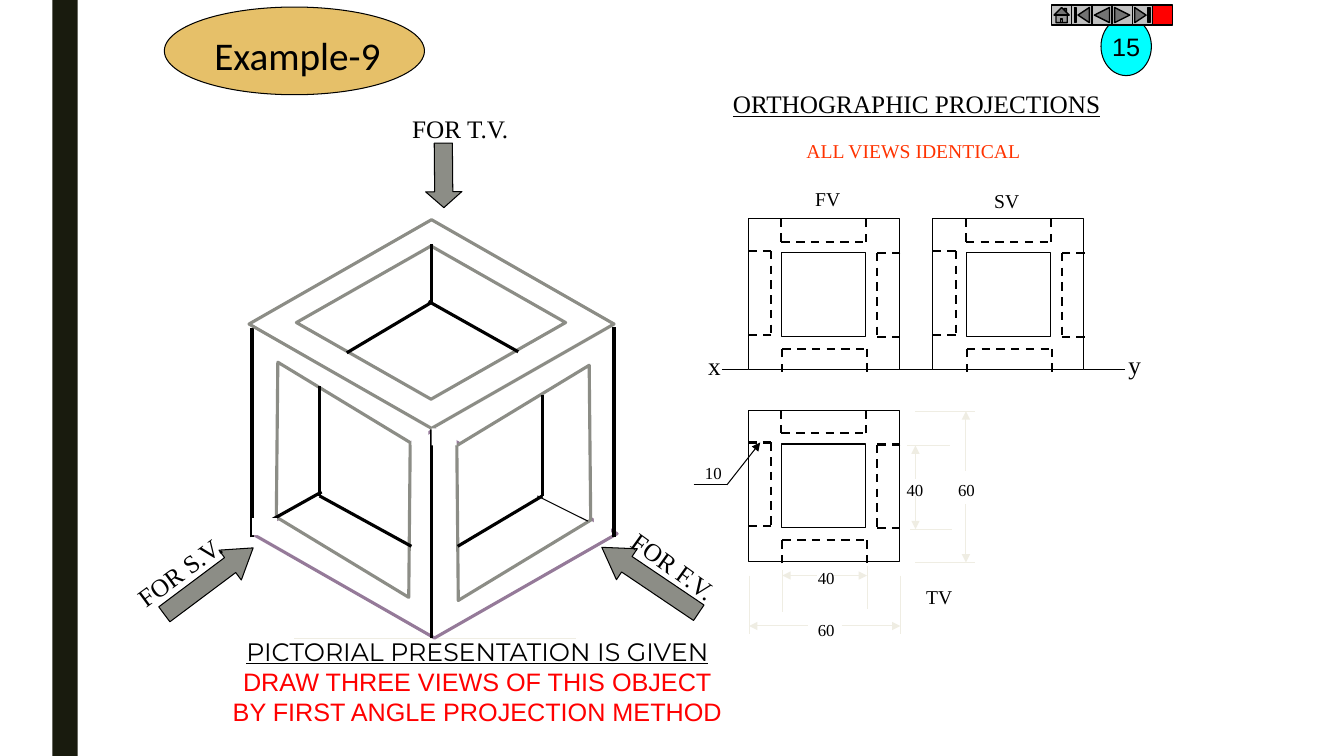
from itertools import pairwise

from lxml.etree import SubElement
from pptx import Presentation
from pptx.dml.color import RGBColor
from pptx.enum.dml import MSO_LINE
from pptx.enum.shapes import MSO_CONNECTOR, MSO_SHAPE
from pptx.enum.text import MSO_ANCHOR, MSO_AUTO_SIZE, PP_ALIGN
from pptx.oxml.ns import qn
from pptx.util import Cm, Pt

BLACK = RGBColor(0x00, 0x00, 0x00)
WHITE = RGBColor(0xFF, 0xFF, 0xFF)
RED = RGBColor(0xFF, 0x00, 0x00)
ORANGE = RGBColor(0xFF, 0x33, 0x00)
GOLD = RGBColor(0xE6, 0xC0, 0x69)
CYAN = RGBColor(0x00, 0xFF, 0xFF)
GREY = RGBColor(0x8C, 0x8D, 0x86)
SILVER = RGBColor(0xC0, 0xC0, 0xC0)
PURPLE = RGBColor(0x95, 0x7A, 0x99)
CREAM = RGBColor(0xEF, 0xED, 0xE3)
DARK = RGBColor(0x19, 0x1B, 0x0E)

SERIF = "Times New Roman"
CM_PER_UNIT = 2.54
HOLE = 0.83
FRAME = 1.5
NOTCHES = [
    [(0.34, 1.52), (0.34, 1.29), (1.18, 1.29), (1.18, 1.52)],
    [(0.33, 0), (0.33, 0.23), (1.17, 0.23), (1.17, 0)],
    [(0, 0.32), (0.23, 0.32), (0.23, 1.15), (0, 1.15)],
    [(1.51, 0.34), (1.28, 0.34), (1.28, 1.17), (1.51, 1.17)],
]


def lengths(*units):
    return [Cm(unit * CM_PER_UNIT) for unit in units]


def add_figure(page, kind, place, fill, line=None, width=0.75, turn=0):
    figure = page.shapes.add_shape(kind, *lengths(*place))
    figure.shadow.inherit = False
    figure.rotation = turn
    figure.fill.solid()
    figure.fill.fore_color.rgb = fill
    if line is None:
        figure.line.fill.background()
    else:
        figure.line.color.rgb = line
        figure.line.width = Pt(width)
    return figure


def add_line(page, start, end, color=BLACK, width=0.75, dashed=False, arrow=False):
    connector = page.shapes.add_connector(MSO_CONNECTOR.STRAIGHT, *lengths(*start, *end))
    connector.line.color.rgb = color
    connector.line.width = Pt(width)
    if dashed:
        connector.line.dash_style = MSO_LINE.DASH
    properties = connector._element.spPr
    if arrow:
        SubElement(properties.find(qn("a:ln")), qn("a:tailEnd"), type="triangle")
    SubElement(properties, qn("a:effectLst"))


def style(para, text, size, font=SERIF, color=BLACK, underline=False, align=PP_ALIGN.CENTER):
    para.text = text
    para.alignment = align
    para.font.size = Pt(size)
    para.font.name = font
    para.font.color.rgb = color
    para.font.underline = underline


def add_text(page, place, text, size, turn=0, **look):
    box = page.shapes.add_textbox(*lengths(*place))
    box.rotation = turn
    frame = box.text_frame
    frame.word_wrap = False
    frame.auto_size = MSO_AUTO_SIZE.SHAPE_TO_FIT_TEXT
    style(frame.paragraphs[0], text, size, **look)
    return frame


def add_cube(page):
    for start, end in [
        ((4.3, 6.33), (5.5, 5.63)),
        ((4.3, 6.33), (3.17, 5.67)),
        ((2.92, 6.33), (5.71, 6.33)),
    ]:
        add_line(page, start, end, CREAM, 0.5)
    add_figure(page, MSO_SHAPE.DIAMOND, (2.5, 4.26, 3.62, 2.07), WHITE, PURPLE, 2.25)
    for x, top, bottom in [(4.28, 4.25, 6.33), (2.5, 3.25, 5.33), (6.09, 3.24, 5.33)]:
        add_line(page, (x, bottom), (x, top), width=2.25)
    for place, turn in [
        ((2.47, 2.18, 3.62, 2.07), 0),
        ((2.94, 2.44, 2.67, 1.52), 0),
        ((3.86, 4.03, 2.67, 1.52), 299.1),
        ((2.07, 4, 2.67, 1.52), 60.9),
    ]:
        add_figure(page, MSO_SHAPE.DIAMOND, place, WHITE, GREY, 2.25, turn)
    add_line(page, (5.83, 5.17), (5.33, 4.92))
    for start, end in [
        ((4.28, 2.42), (4.28, 3)),
        ((2.69, 5.16), (3.19, 4.88)),
        ((3.17, 4.92), (3.17, 3.83)),
        ((3.17, 4.92), (4.08, 5.42)),
        ((5.38, 4.92), (4.54, 5.42)),
        ((5.38, 4.92), (5.38, 3.92)),
        ((4.28, 3), (3.44, 3.5)),
        ((4.25, 2.99), (5.14, 3.49)),
    ]:
        add_line(page, start, end, width=2.25)
    for place in [
        (4.08, 4.25, 0.17, 0.17),
        (4.28, 4.25, 0.25, 0.17),
        (2.5, 5.14, 0.25, 0.17),
        (5.89, 5.06, 0.17, 0.25),
    ]:
        add_figure(page, MSO_SHAPE.RECTANGLE, place, WHITE)


def add_view(page, left, top, label, label_place):
    inset = (FRAME - HOLE) / 2
    add_figure(page, MSO_SHAPE.RECTANGLE, (left, top, FRAME, FRAME), WHITE, BLACK)
    add_figure(page, MSO_SHAPE.RECTANGLE, (left + inset, top + inset, HOLE, HOLE), WHITE, BLACK)
    for notch in NOTCHES:
        corners = [(left + x, top + y) for x, y in notch]
        for start, end in pairwise(corners):
            add_line(page, start, end, width=1.5, dashed=True)
    add_text(page, label_place, label, 14)


def add_dimensions(page):
    for y, left, right in [(4.08, 9.08, 9.67), (4.42, 9, 9.42), (5.25, 9.03, 9.44), (5.58, 9.08, 9.67)]:
        add_line(page, (left, y), (right, y), CREAM)
    for x, top, bottom in [(8.93, 5.71, 6.29), (8.6, 5.62, 6.04), (7.76, 5.65, 6.07), (7.43, 5.71, 6.29)]:
        add_line(page, (x, top), (x, bottom), CREAM)
    for start, end in [
        ((9.58, 4.67), (9.58, 4.08)),
        ((9.58, 5), (9.58, 5.58)),
        ((9.08, 4.92), (9.08, 5.25)),
        ((9.08, 4.75), (9.08, 4.42)),
        ((8.35, 6.21), (8.93, 6.21)),
        ((8.01, 6.21), (7.43, 6.21)),
        ((8.1, 5.71), (7.76, 5.71)),
        ((8.26, 5.71), (8.6, 5.71)),
    ]:
        add_line(page, start, end, CREAM, arrow=True)
    add_line(page, (7.21, 4.81), (7.54, 4.39), arrow=True)
    add_line(page, (6.88, 4.81), (7.21, 4.81))
    for left, top, size in [
        (6.89, 4.54, "10"), (8.89, 4.71, "40"), (9.4, 4.71, "60"), (8.01, 6.1, "60"), (8.01, 5.58, "40"),
    ]:
        add_text(page, (left, top, 0.37, 0.3), size, 12)


def add_direction(page, arrow_place, arrow_turn, head, label, label_place, label_turn):
    arrow = add_figure(page, MSO_SHAPE.LEFT_ARROW, arrow_place, GREY, BLACK, turn=arrow_turn)
    arrow.adjustments[1] = head
    add_text(page, label_place, label, 18, label_turn, align=PP_ALIGN.LEFT)


def add_buttons(page):
    kinds = [
        MSO_SHAPE.ACTION_BUTTON_HOME,
        MSO_SHAPE.ACTION_BUTTON_BEGINNING,
        MSO_SHAPE.ACTION_BUTTON_BACK_OR_PREVIOUS,
        MSO_SHAPE.ACTION_BUTTON_FORWARD_OR_NEXT,
        MSO_SHAPE.ACTION_BUTTON_END,
        MSO_SHAPE.ACTION_BUTTON_CUSTOM,
    ]
    for index, kind in enumerate(kinds):
        fill = RED if kind == MSO_SHAPE.ACTION_BUTTON_CUSTOM else SILVER
        add_figure(page, kind, (10.43 + 0.2 * index, 0.05, 0.2, 0.2), fill, BLACK, 1)


def main():
    deck = Presentation()
    deck.slide_width, deck.slide_height = lengths(13.33, 7.5)
    page = deck.slides.add_slide(deck.slide_layouts[6])
    add_figure(page, MSO_SHAPE.RECTANGLE, (0.52, 0, 0.25, 7.5), DARK)
    add_cube(page)
    add_line(page, (7.16, 3.67), (11.16, 3.67))
    add_text(page, (6.92, 3.43, 0.33, 0.4), "x", 18)
    add_text(page, (11.09, 3.42, 0.33, 0.4), "y", 18)
    add_view(page, 7.42, 2.17, "FV", (7.98, 1.81, 0.46, 0.33))
    add_view(page, 9.25, 2.17, "SV", (9.76, 1.83, 0.45, 0.33))
    add_view(page, 7.42, 4.07, "TV", (9.08, 5.75, 0.47, 0.33))
    add_dimensions(page)
    add_figure(page, MSO_SHAPE.OVAL, (1.63, 0.07, 2.58, 0.87), GOLD, BLACK)
    add_text(page, (1.96, 0.26, 1.98, 0.57), "Example-9", 28, font="Calibri")
    add_text(page, (7.89, 1.33, 2.34, 0.34), "ALL VIEWS IDENTICAL", 14, color=ORANGE)
    add_direction(page, (4.08, 1.56, 0.64, 0.36), 269.5, 0.44, "FOR T.V.", (3.99, 1.08, 1.16, 0.4), 0)
    add_direction(page, (1.52, 5.58, 1.1, 0.37), 143.2, 0.77, "FOR S.V.", (1.2, 5.47, 1.17, 0.4), 323.8)
    add_direction(page, (5.87, 5.57, 1.16, 0.37), 34, 0.81, "FOR F.V.", (6.11, 5.42, 1.15, 0.4), 35.6)
    task = add_text(
        page, (2.07, 6.26, 5.33, 1), "PICTORIAL PRESENTATION IS GIVEN", 18, font="Montserrat", underline=True
    )
    for text in ["DRAW THREE VIEWS OF THIS OBJECT", "BY FIRST ANGLE PROJECTION METHOD"]:
        style(task.add_paragraph(), text, 18, "Arial", RED)
    badge = add_figure(page, MSO_SHAPE.OVAL, (10.92, 0.17, 0.5, 0.58), CYAN, BLACK).text_frame
    badge.word_wrap = False
    badge.vertical_anchor = MSO_ANCHOR.MIDDLE
    style(badge.paragraphs[0], "15", 18, "Arial")
    add_text(
        page, (7.17, 0.83, 3.88, 0.4), "ORTHOGRAPHIC PROJECTIONS", 18, underline=True, align=PP_ALIGN.LEFT
    )
    add_buttons(page)
    deck.save("out.pptx")


if __name__ == "__main__":
    main()
